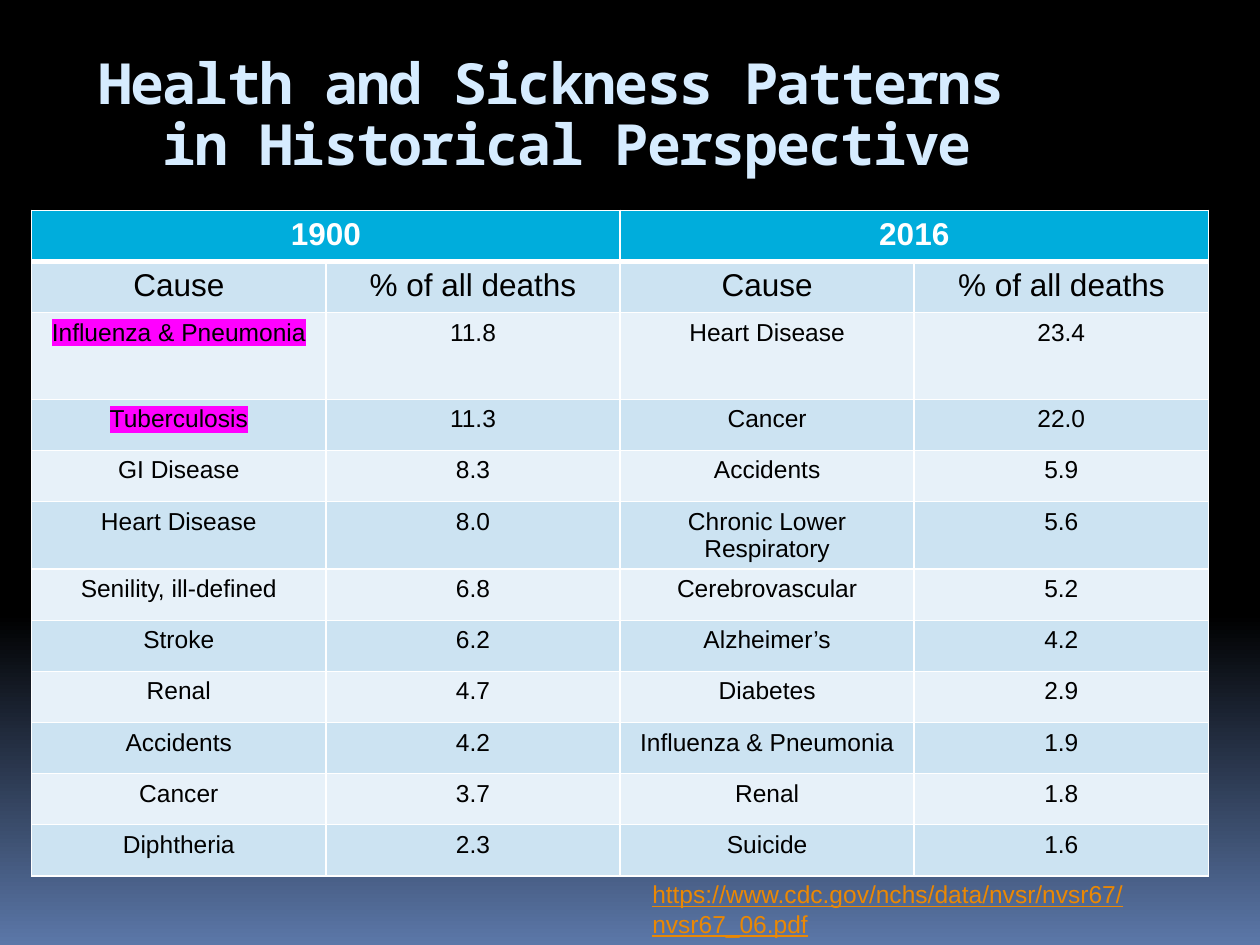
"""Build a slide comparing the leading causes of death in 1900 and 2016."""
import copy

import lxml.etree
import pptx
import pptx.dml.color
import pptx.enum.text
import pptx.oxml.ns
import pptx.util

Cm = pptx.util.Cm
Pt = pptx.util.Pt
RGBColor = pptx.dml.color.RGBColor
qn = pptx.oxml.ns.qn

BLACK = RGBColor(0x00, 0x00, 0x00)
WHITE = RGBColor(0xFF, 0xFF, 0xFF)
DUSK_BLUE = RGBColor(0x5B, 0x77, 0xA8)
TITLE_BLUE = RGBColor(0xD6, 0xEC, 0xFF)
HEADER_BLUE = RGBColor(0x00, 0xAD, 0xDC)
BAND_DARK = RGBColor(0xCC, 0xE3, 0xF2)
BAND_LIGHT = RGBColor(0xE7, 0xF1, 0xF9)
MAGENTA = RGBColor(0xFF, 0x00, 0xFF)
LINK_ORANGE = RGBColor(0xEB, 0x88, 0x03)

ROWS = [
    ("1900", "", "2016", ""),
    ("Cause", "% of all deaths", "Cause", "% of all deaths"),
    ("Influenza & Pneumonia", "11.8", "Heart Disease", "23.4"),
    ("Tuberculosis", "11.3", "Cancer", "22.0"),
    ("GI Disease", "8.3", "Accidents", "5.9"),
    ("Heart Disease", "8.0", "Chronic Lower Respiratory", "5.6"),
    ("Senility, ill-defined", "6.8", "Cerebrovascular", "5.2"),
    ("Stroke", "6.2", "Alzheimer’s", "4.2"),
    ("Renal", "4.7", "Diabetes", "2.9"),
    ("Accidents", "4.2", "Influenza & Pneumonia", "1.9"),
    ("Cancer", "3.7", "Renal", "1.8"),
    ("Diphtheria", "2.3", "Suicide", "1.6"),
]
HIGHLIGHTED = [(2, 0), (3, 0)]
ROW_HEIGHT = Cm(1.03)
TALL_ROW_HEIGHT = Cm(1.75)
COLUMN_WIDTH = Cm(5.93)


def add_span(para, text, font_name, size, color, bold=False):
    span = para.add_run()
    span.text = text
    span.font.name = font_name
    span.font.size = Pt(size)
    span.font.bold = bold
    span.font.color.rgb = color
    return span


def add_borders(cell, widths):
    properties = cell._tc.get_or_add_tcPr()
    for index, (side, width) in enumerate(widths.items()):
        line = lxml.etree.Element(qn(f"a:{side}"), w=str(Pt(width)))
        fill = lxml.etree.SubElement(line, qn("a:solidFill"))
        lxml.etree.SubElement(fill, qn("a:srgbClr"), val=str(WHITE))
        properties.insert(index, line)


deck = pptx.Presentation()
deck.slide_width = Cm(25.4)
deck.slide_height = Cm(19.05)
slide = deck.slides.add_slide(deck.slide_layouts[5])

background = slide.background.fill
background.gradient()
background.gradient_angle = 270
first_stop = next(slide.element.iter(qn("a:gs")))
first_stop.addnext(copy.deepcopy(first_stop))
stops = [(0, BLACK), (0.65, BLACK), (1, DUSK_BLUE)]
for stop, (position, color) in zip(background.gradient_stops, stops):
    stop.position = position
    stop.color.rgb = color

title = slide.shapes.title
title.left, title.top, title.width, title.height = Cm(0), Cm(0.76), Cm(22.86), Cm(3.18)
title.text_frame.auto_size = pptx.enum.text.MSO_AUTO_SIZE.NONE
title.text_frame.vertical_anchor = pptx.enum.text.MSO_ANCHOR.MIDDLE
para = title.text_frame.paragraphs[0]
para.alignment = pptx.enum.text.PP_ALIGN.CENTER
para.line_spacing = 0.9
for index, text in enumerate(["Health and Sickness Patterns ", "in Historical Perspective"]):
    if index:
        para.add_line_break()
    span = add_span(para, text, "Noto Sans Mono", 32.4, TITLE_BLUE, bold=True)
    span.font._element.set("spc", "-100")

table = slide.shapes.add_table(
    len(ROWS), 4, Cm(0.64), Cm(4.24), COLUMN_WIDTH * 4,
    ROW_HEIGHT * (len(ROWS) - 1) + TALL_ROW_HEIGHT,
).table
for column in table.columns:
    column.width = COLUMN_WIDTH

for row_index, texts in enumerate(ROWS):
    table.rows[row_index].height = TALL_ROW_HEIGHT if row_index == 2 else ROW_HEIGHT
    is_header = row_index == 0
    band = HEADER_BLUE if is_header else (BAND_LIGHT, BAND_DARK)[row_index % 2]
    for column_index, text in enumerate(texts):
        cell = table.cell(row_index, column_index)
        cell.fill.solid()
        cell.fill.fore_color.rgb = band
        add_borders(cell, {
            "lnL": 1, "lnR": 1,
            "lnT": 3 if row_index == 1 else 1,
            "lnB": 3 if is_header else 1,
        })
        if not text:
            continue
        para = cell.text_frame.paragraphs[0]
        para.alignment = pptx.enum.text.PP_ALIGN.CENTER
        size = 18 if row_index < 2 else 14
        span = add_span(para, text, "Arial", size, WHITE if is_header else BLACK, is_header)
        if (row_index, column_index) in HIGHLIGHTED:
            highlight = lxml.etree.Element(qn("a:highlight"))
            lxml.etree.SubElement(highlight, qn("a:srgbClr"), val=str(MAGENTA))
            span.font._element.find(qn("a:solidFill")).addnext(highlight)

for first_column in (0, 2):
    table.cell(0, first_column).merge(table.cell(0, first_column + 1))

source_box = slide.shapes.add_textbox(Cm(12.9), Cm(17.6), Cm(11.23), Cm(1.45))
source_box.text_frame.word_wrap = True
para = source_box.text_frame.paragraphs[0]
address = "https://www.cdc.gov/nchs/data/nvsr/nvsr67/nvsr67_06.pdf"
span = add_span(para, address, "Arial", 14, LINK_ORANGE)
span.font.underline = True

deck.save("out.pptx")
